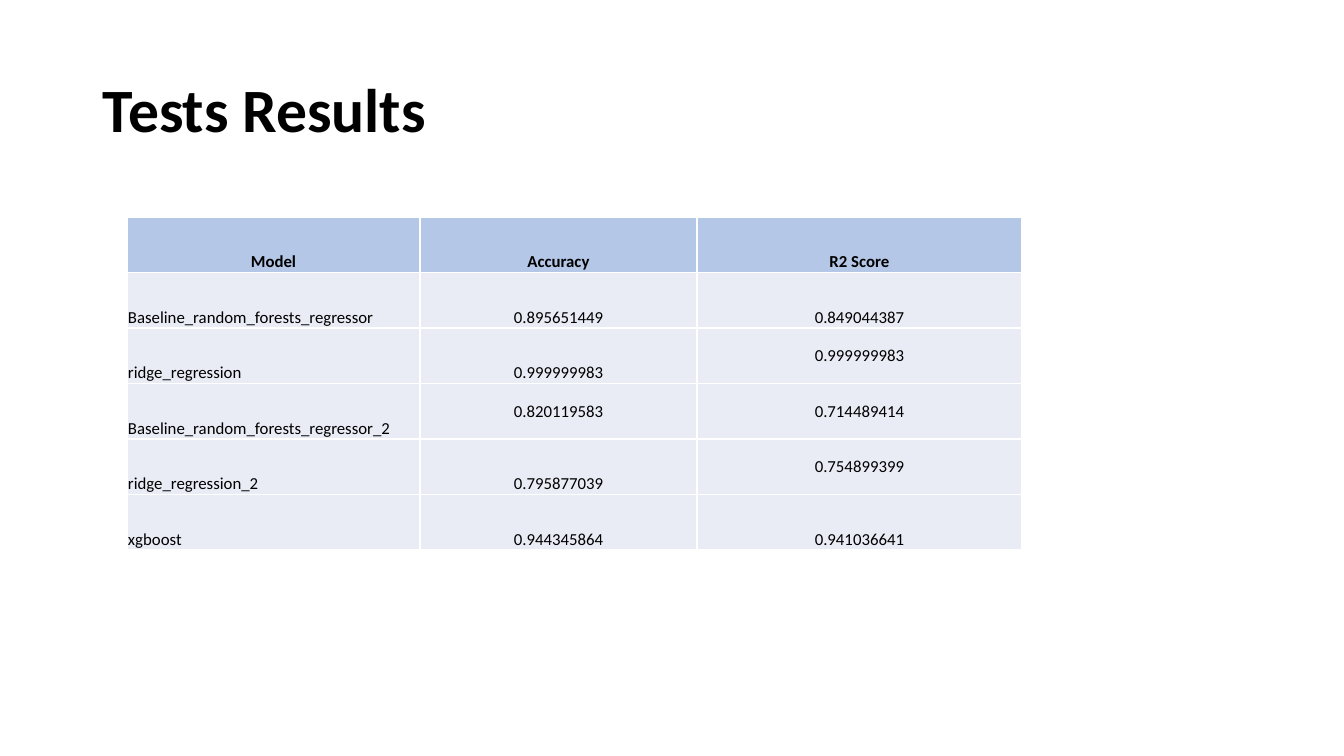
"""Build the test results slide with its model score table."""
from dataclasses import dataclass

from lxml.etree import SubElement
from pptx import Presentation
from pptx.dml.color import RGBColor
from pptx.enum.text import MSO_ANCHOR, PP_ALIGN
from pptx.oxml.ns import qn
from pptx.slide import Slide
from pptx.table import _Cell
from pptx.text.text import _Paragraph
from pptx.util import Emu, Pt

SCALE = 914400 / 100.8
FONT = "Calibri"
BLACK = RGBColor(0x00, 0x00, 0x00)
WHITE = RGBColor(0xFF, 0xFF, 0xFF)
HEADER_BLUE = RGBColor(0xB4, 0xC7, 0xE7)
BODY_BLUE = RGBColor(0xE9, 0xEB, 0xF5)

BOTTOM, MIDDLE = MSO_ANCHOR.BOTTOM, MSO_ANCHOR.MIDDLE
HEADERS = ("Model", "Accuracy", "R2 Score")
COL_WIDTHS = (293, 277, 325)
TABLE_HEIGHT = 333


@dataclass(frozen=True)
class Result:
    model: str
    accuracy: str
    r2_score: str
    accuracy_anchor: MSO_ANCHOR = BOTTOM
    r2_anchor: MSO_ANCHOR = BOTTOM


RESULTS = (
    Result("Baseline_random_forests_regressor", "0.895651449", "0.849044387"),
    Result("ridge_regression", "0.999999983", "0.999999983", r2_anchor=MIDDLE),
    Result("Baseline_random_forests_regressor_2", "0.820119583", "0.714489414", MIDDLE, MIDDLE),
    Result("ridge_regression_2", "0.795877039", "0.754899399", r2_anchor=MIDDLE),
    Result("xgboost", "0.944345864", "0.941036641"),
)


def px(n: int) -> Emu:
    """Convert pixels to EMU."""
    return Emu(round(n * SCALE))


def add_run(p: _Paragraph, text: str, size: int, bold: bool) -> None:
    """Append one formatted run."""
    r = p.add_run()
    r.text = text
    r.font.name = FONT
    r.font.size = Pt(size)
    r.font.bold = bold
    r.font.color.rgb = BLACK


def add_borders(cell: _Cell) -> None:
    """Give a cell thin white borders, placed ahead of its fill."""
    tc_pr = cell._tc.get_or_add_tcPr()
    for i, side in enumerate(("lnL", "lnR", "lnT", "lnB")):
        ln = SubElement(tc_pr, qn(f"a:{side}"), w=str(Pt(1)))
        fill = SubElement(ln, qn("a:solidFill"))
        SubElement(fill, qn("a:srgbClr"), val=str(WHITE))
        tc_pr.insert(i, ln)


def fill_cell(cell: _Cell, text: str, anchor: MSO_ANCHOR, align: PP_ALIGN, header: bool) -> None:
    """Write and style one table cell."""
    cell.fill.solid()
    cell.fill.fore_color.rgb = HEADER_BLUE if header else BODY_BLUE
    cell.margin_left = cell.margin_right = cell.margin_top = px(1)
    cell.margin_bottom = 0
    cell.vertical_anchor = anchor
    p = cell.text_frame.paragraphs[0]
    p.alignment = align
    add_run(p, text, 12, header)
    add_borders(cell)


def add_title(s: Slide) -> None:
    """Add the slide title."""
    sp = s.shapes.add_textbox(px(93), px(40), px(1159), px(146))
    tf = sp.text_frame
    tf.word_wrap = True
    tf.vertical_anchor = MIDDLE
    p = tf.paragraphs[0]
    p.line_spacing = 0.9
    add_run(p, "Tests Results", 44, True)


def add_results(s: Slide) -> None:
    """Add the score table."""
    rows = len(RESULTS) + 1
    table = s.shapes.add_table(
        rows, len(HEADERS), px(127), px(217), px(sum(COL_WIDTHS)), px(TABLE_HEIGHT)
    ).table
    table.first_row = table.horz_banding = False
    for col, width in zip(table.columns, COL_WIDTHS):
        col.width = px(width)
    for row in table.rows:
        row.height = Emu(px(TABLE_HEIGHT) // rows)
    for c, text in enumerate(HEADERS):
        fill_cell(table.cell(0, c), text, BOTTOM, PP_ALIGN.CENTER, True)
    for i, res in enumerate(RESULTS, 1):
        fill_cell(table.cell(i, 0), res.model, BOTTOM, PP_ALIGN.LEFT, False)
        fill_cell(table.cell(i, 1), res.accuracy, res.accuracy_anchor, PP_ALIGN.CENTER, False)
        fill_cell(table.cell(i, 2), res.r2_score, res.r2_anchor, PP_ALIGN.CENTER, False)


def main() -> None:
    """Build and save the presentation."""
    prs = Presentation()
    prs.slide_width, prs.slide_height = px(1344), px(756)
    s = prs.slides.add_slide(prs.slide_layouts[6])
    add_title(s)
    add_results(s)
    prs.save("out.pptx")


main()
